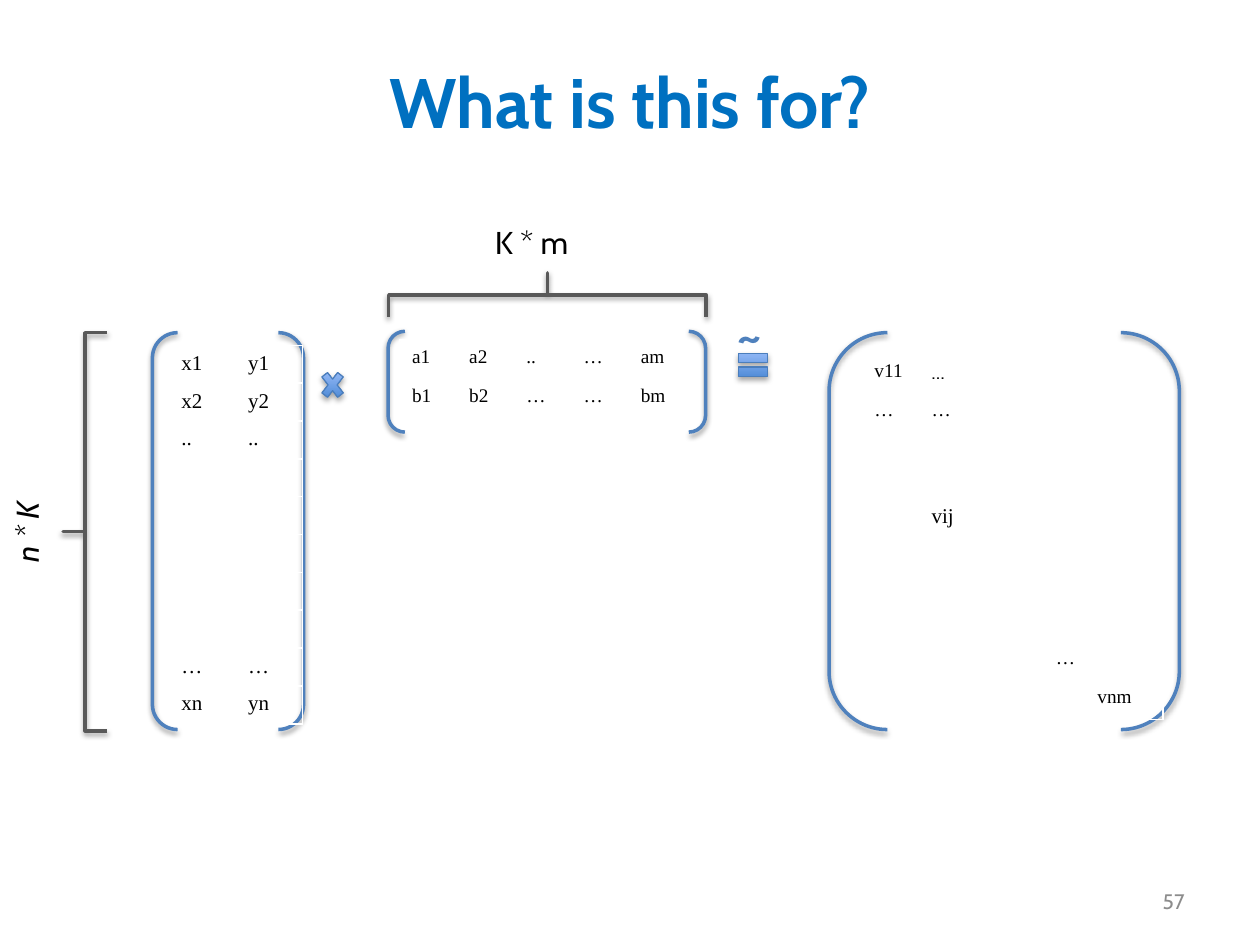
import dataclasses

import lxml.etree
import pptx
import pptx.dml.color
import pptx.enum.shapes
import pptx.enum.text
import pptx.oxml.ns
import pptx.util

Inches = pptx.util.Inches
Pt = pptx.util.Pt
SHAPE = pptx.enum.shapes.MSO_SHAPE
ALIGN = pptx.enum.text.PP_ALIGN
ANCHOR = pptx.enum.text.MSO_ANCHOR


@dataclasses.dataclass(frozen=True)
class Theme:
    heading_font: str = "Cabin"
    matrix_font: str = "Times New Roman"
    title_color: str = "0070C0"
    ink: str = "000000"
    bracket: str = "4F81BD"
    brace: str = "595959"
    operator_line: str = "4B7EBC"
    operator_dark: str = "3F80CE"
    operator_light: str = "A4C4FF"
    page_color: str = "8C8C8C"
    title_size: int = 40
    tilde_size: int = 32
    label_size: int = 18
    entry_size: int = 12
    small_entry_size: int = 11


def rgb(value):
    return pptx.dml.color.RGBColor.from_string(value)


def add_element(parent, tag, **attributes):
    return lxml.etree.SubElement(parent, pptx.oxml.ns.qn(tag), **attributes)


def write_text(paragraph, text, *, font, size, color, bold=False, italic=False, align=ALIGN.LEFT):
    paragraph.alignment = align
    run = paragraph.add_run()
    run.text = text
    run.font.name = font
    run.font.size = Pt(size)
    run.font.bold = bold
    run.font.italic = italic
    run.font.color.rgb = rgb(color)


class MatrixSlide:
    def __init__(self, presentation, theme):
        self.theme = theme
        self.slide = presentation.slides.add_slide(presentation.slide_layouts[5])

    def title(self, text, box):
        heading = self.slide.shapes.title
        heading.left, heading.top, heading.width, heading.height = map(Inches, box)
        heading.text_frame.vertical_anchor = ANCHOR.MIDDLE
        write_text(heading.text_frame.paragraphs[0], text, font=self.theme.heading_font,
                   size=self.theme.title_size, color=self.theme.title_color,
                   bold=True, align=ALIGN.CENTER)

    def label(self, text, box, rotation=0, wrap=False, anchor=ANCHOR.TOP, **style):
        label = self.slide.shapes.add_textbox(*map(Inches, box))
        label.rotation = rotation
        frame = label.text_frame
        frame.word_wrap = wrap
        frame.vertical_anchor = anchor
        style = {"size": self.theme.label_size, "color": self.theme.ink} | style
        write_text(frame.paragraphs[0], text, font=self.theme.heading_font, **style)

    def outline(self, kind, box, color, weight=2, rotation=0, shadow_alpha=38, shadow_distance=1.6):
        outline = self.slide.shapes.add_shape(kind, *map(Inches, box))
        outline.rotation = rotation
        outline.fill.background()
        outline.line.color.rgb = rgb(color)
        outline.line.width = Pt(weight)
        outline.shadow.inherit = False
        effects = outline._element.spPr.find(pptx.oxml.ns.qn("a:effectLst"))
        shadow = add_element(effects, "a:outerShdw", blurRad=str(Pt(3.1)),
                             dist=str(Pt(shadow_distance)), dir="5400000", rotWithShape="0")
        shade = add_element(shadow, "a:srgbClr", val="000000")
        add_element(shade, "a:alpha", val=str(shadow_alpha * 1000))
        return outline

    def bracket(self, box):
        self.outline(SHAPE.DOUBLE_BRACKET, box, self.theme.bracket)

    def brace(self, box, rotation):
        brace = self.outline(SHAPE.RIGHT_BRACE, box, self.theme.brace, rotation=rotation)
        brace.adjustments[0] = 0
        brace.adjustments[1] = 0.5

    def operator(self, kind, box):
        operator = self.outline(kind, box, self.theme.operator_line, weight=0.75,
                                shadow_alpha=35, shadow_distance=1.8)
        operator.fill.gradient()
        operator.fill.gradient_angle = 90
        stops = operator.fill.gradient_stops
        for stop, color in zip(stops, (self.theme.operator_dark, self.theme.operator_light)):
            stop.color.rgb = rgb(color)

    def matrix(self, left, top, widths, row_height, entries, size, heading_cells=()):
        rows = len(entries)
        grid = self.slide.shapes.add_table(
            rows, len(widths), Inches(left), Inches(top),
            Inches(sum(widths)), Inches(rows * row_height)).table
        grid.first_row = False
        grid.horz_banding = False
        for column, width in zip(grid.columns, widths):
            column.width = Inches(width)
        for row_index, row in enumerate(grid.rows):
            row.height = Inches(row_height)
            for column_index, cell in enumerate(row.cells):
                cell.fill.background()
                paragraph = cell.text_frame.paragraphs[0]
                text = entries[row_index].get(column_index)
                if text is None:
                    add_element(paragraph._p, "a:endParaRPr", sz=str(size * 100))
                    continue
                in_heading_font = (row_index, column_index) in heading_cells
                font = self.theme.heading_font if in_heading_font else self.theme.matrix_font
                write_text(paragraph, text, font=font, size=size, color=self.theme.ink)


def main():
    presentation = pptx.Presentation()
    presentation.slide_width = Inches(10)
    presentation.slide_height = Inches(7.5)
    theme = Theme()
    page = MatrixSlide(presentation, theme)

    page.title("What is this for?", (0.5, 0.3, 9, 0.99))
    for bracket_box in ((1.21, 2.64, 1.2, 3.15), (3.08, 2.63, 2.52, 0.8), (6.58, 2.64, 2.78, 3.15)):
        page.bracket(bracket_box)
    page.operator(SHAPE.MATH_MULTIPLY, (2.52, 2.9, 0.24, 0.31))
    page.operator(SHAPE.MATH_EQUAL, (5.82, 2.74, 0.31, 0.31))
    page.label("K * m", (3.83, 1.72, 0.81, 0.4))
    page.brace((4.17, 1.08, 0.35, 2.52), 270)
    page.label("n * K", (-0.16, 3.99, 0.74, 0.4), rotation=270, italic=True)
    page.brace((0.5, 2.64, 0.35, 3.16), 180)

    points = [dict(enumerate(pair)) for pair in (("x1", "y1"), ("x2", "y2"), ("..", ".."))]
    points += [{}] * 5
    points += [dict(enumerate(pair)) for pair in (("…", "…"), ("xn", "yn"))]
    page.matrix(1.34, 2.74, [0.53] * 2, 0.3, points, theme.entry_size)

    factors = [dict(enumerate(row)) for row in (
        ("a1", "a2", "..", "…", "am"), ("b1", "b2", "…", "…", "bm"))]
    even_columns = [0.454] * 5
    page.matrix(3.17, 2.7, even_columns, 0.31, factors, theme.small_entry_size)

    product_left = 6.84
    page.matrix(product_left, 2.81, even_columns, 0.31,
                [{0: "v11", 1: "…"}, {0: "…", 1: "…"}],
                theme.small_entry_size, heading_cells={(0, 1)})
    page.matrix(product_left, 3.65, even_columns, 0.31, [{}, {1: "vij"}], theme.entry_size)
    page.matrix(product_left, 5.09, [0.48, 0.48, 0.48, 0.33, 0.62], 0.31,
                [{3: "…"}, {4: "vnm"}], theme.small_entry_size)

    page.label("~", (5.75, 2.31, 0.47, 0.64), size=theme.tilde_size, color=theme.bracket, bold=True)
    page.label("57", (7.17, 6.95, 2.33, 0.4), wrap=True, anchor=ANCHOR.MIDDLE,
               size=theme.entry_size, color=theme.page_color, align=ALIGN.RIGHT)
    presentation.save("out.pptx")


if __name__ == "__main__":
    main()
